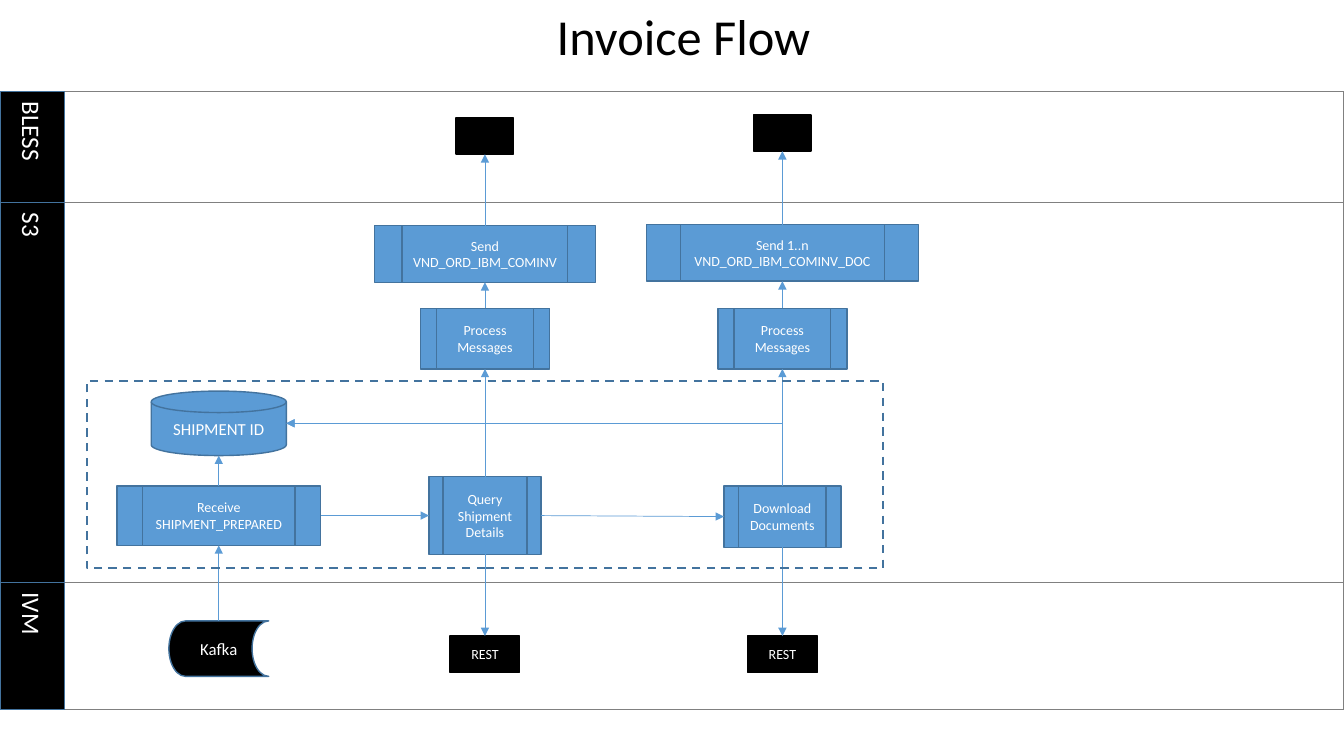
from pptx import Presentation
from pptx.dml.color import RGBColor
from pptx.enum.dml import MSO_LINE
from pptx.enum.shapes import MSO_CONNECTOR, MSO_SHAPE
from pptx.enum.text import MSO_ANCHOR, PP_ALIGN
from pptx.oxml.ns import qn
from pptx.util import Inches, Pt
from lxml import etree

RECT = MSO_SHAPE.RECTANGLE
STEP = MSO_SHAPE.FLOWCHART_PREDEFINED_PROCESS
DISK = MSO_SHAPE.FLOWCHART_MAGNETIC_DISK
STORE = MSO_SHAPE.FLOWCHART_STORED_DATA
DRUM = "flowChartOnlineStorage"
STRAIGHT, ELBOW = MSO_CONNECTOR.STRAIGHT, MSO_CONNECTOR.ELBOW
CENTER, TOP, DASH = PP_ALIGN.CENTER, MSO_ANCHOR.TOP, MSO_LINE.DASH

WIDE, HIGH = 13.33, 7.5
FONT = "Calibri"
COLORS = {"blue": "5B9BD5", "edge": "43739E", "black": "000000",
          "white": "FFFFFF", "gray": "808080"}
COLS = (2.17, 4.81, 7.76)  # centre lines of the three flow columns


def color(name):
    return RGBColor.from_string(COLORS[name])


def write(frame, text, size, ink):
    for i, row in enumerate(text.split("\n")):
        para = frame.paragraphs[0] if i == 0 else frame.add_paragraph()
        para.alignment = CENTER
        run = para.add_run()
        run.text = row
        run.font.name, run.font.size = FONT, Pt(size)
        run.font.color.rgb = color(ink)


def draw(shapes, kind, box, fill, edge, text="", size=10, width=1):
    shape = shapes.add_shape(kind, *map(Inches, box))
    shape.shadow.inherit = False
    if fill:
        shape.fill.solid()
        shape.fill.fore_color.rgb = color(fill)
    else:
        shape.fill.background()
    shape.line.color.rgb = color(edge)
    shape.line.width = Pt(width)
    if text:
        write(shape.text_frame, text, size, "white")
    return shape


def node(slide, lane, col, drop, size, text="", kind=STEP, fill="blue",
         edge="edge", pt=10):
    """Centre a node on a column, a given drop below the lane's top."""
    wide, high = size
    box = (COLS[col] - wide / 2, lane[1] + drop, wide, high)
    return draw(slide.shapes, kind, box, fill, edge, text, pt)


def band(slide, box, name):
    """Lane frame with its vertical label."""
    left, top, wide, high = box
    group = slide.shapes.add_group_shape().shapes
    draw(group, RECT, box, None, "gray")
    tab = draw(group, RECT, (left, top, 0.64, high), "black", "edge", name, 18)
    tab.text_frame._txBody.bodyPr.set("vert", "eaVert")


def title(slide, box):
    head = slide.shapes.title
    head.left, head.top, head.width, head.height = map(Inches, box)
    head.text_frame.vertical_anchor = TOP
    write(head.text_frame, "Invoice Flow", 36, "black")


def targets(slide, lane):
    return [node(slide, lane, col, drop, (0.57, 0.36), fill="black",
                 edge="black") for col, drop in ((1, 0.26), (2, 0.23))]


def steps(slide, lane):
    return {
        "ids": node(slide, lane, 0, 1.87, (1.34, 0.64), "SHIPMENT ID", DISK,
                    pt=12),
        "receive": node(slide, lane, 0, 2.81, (2.02, 0.59),
                        "Receive SHIPMENT_PREPARED"),
        "query": node(slide, lane, 1, 2.72, (1.11, 0.77),
                      "Query Shipment Details"),
        "load": node(slide, lane, 2, 2.81, (1.16, 0.61),
                     "Download Documents"),
        "work": [node(slide, lane, col, 1.05, (1.28, 0.6), "Process Messages")
                 for col in (1, 2)],
        "send": [node(slide, lane, 1, 0.23, (2.19, 0.56),
                      "Send\nVND_ORD_IBM_COMINV"),
                 node(slide, lane, 2, 0.22, (2.7, 0.56),
                      "Send 1..n\nVND_ORD_IBM_COMINV_DOC")],
    }


def sources(slide, lane):
    kafka = node(slide, lane, 0, 0.38, (0.99, 0.55), "Kafka", STORE, "black",
                 pt=12)
    kafka._element.spPr.find(qn("a:prstGeom")).set("prst", DRUM)
    rests = [node(slide, lane, col, 0.53, (0.69, 0.36), "REST", fill="black",
                  edge="black") for col in (1, 2)]
    return kafka, rests


def spot(shape, side):
    """Midpoint of one side of a shape."""
    x, y = {"t": (0.5, 0), "b": (0.5, 1), "l": (0, 0.5), "r": (1, 0.5)}[side]
    return (int(shape.left + x * shape.width),
            int(shape.top + y * shape.height))


def link(slide, start, end, sides, bent=False):
    (x1, y1), (x2, y2) = spot(start, sides[0]), spot(end, sides[1])
    line = slide.shapes.add_connector(ELBOW if bent else STRAIGHT,
                                      x1, y1, x2, y2)
    props = line._element.spPr
    if bent:  # one corner: up first, then left
        wide, high = abs(y2 - y1), abs(x2 - x1)
        line.left, line.top = (x1 + x2 - wide) // 2, (y1 + y2 - high) // 2
        line.width, line.height = wide, high
        frame = props.find(qn("a:xfrm"))
        frame.attrib.pop("flipH", None)
        frame.set("rot", str(270 * 60000))
        frame.set("flipV", "1")
        props.find(qn("a:prstGeom")).set("prst", "bentConnector2")
    line.line.color.rgb = color("blue")
    line.line.width = Pt(0.5)
    etree.SubElement(props.find(qn("a:ln")), qn("a:tailEnd"), type="triangle")
    etree.SubElement(props, qn("a:effectLst"))


def flow(slide, ends, s3, kafka, rests):
    link(slide, kafka, s3["receive"], "tb")
    link(slide, s3["receive"], s3["ids"], "tb")
    link(slide, s3["receive"], s3["query"], "rl")
    link(slide, s3["query"], s3["load"], "rl")
    pulls = (s3["query"], s3["load"])
    for pull, rest, work, send, end in zip(pulls, rests, s3["work"],
                                           s3["send"], ends):
        link(slide, pull, rest, "bt")
        link(slide, pull, s3["ids"], "tr", bent=True)
        link(slide, pull, work, "tb")
        link(slide, work, send, "tb")
        link(slide, send, end, "tb")


def main():
    deck = Presentation()
    deck.slide_width, deck.slide_height = Inches(WIDE), Inches(HIGH)
    slide = deck.slides.add_slide(deck.slide_layouts[5])
    title(slide, (0, 0, 13.56, 0.71))

    # Lanes, stacked from the top
    lanes, top = [], 0.91
    for name, high in (("BLESS", 1.1), ("S3", 3.77), ("IVM", 1.26)):
        lanes.append((0, top, WIDE, high))
        band(slide, lanes[-1], name)
        top += high

    # Nodes and arrows
    ends = targets(slide, lanes[0])
    s3 = steps(slide, lanes[1])
    kafka, rests = sources(slide, lanes[2])
    flow(slide, ends, s3, kafka, rests)

    # Dashed frame round the shipment steps
    zone = (0.86, lanes[1][1] + 1.77, 7.9, 1.86)
    draw(slide.shapes, RECT, zone, None, "edge",
         width=1.5).line.dash_style = DASH
    deck.save("out.pptx")


if __name__ == "__main__":
    main()
